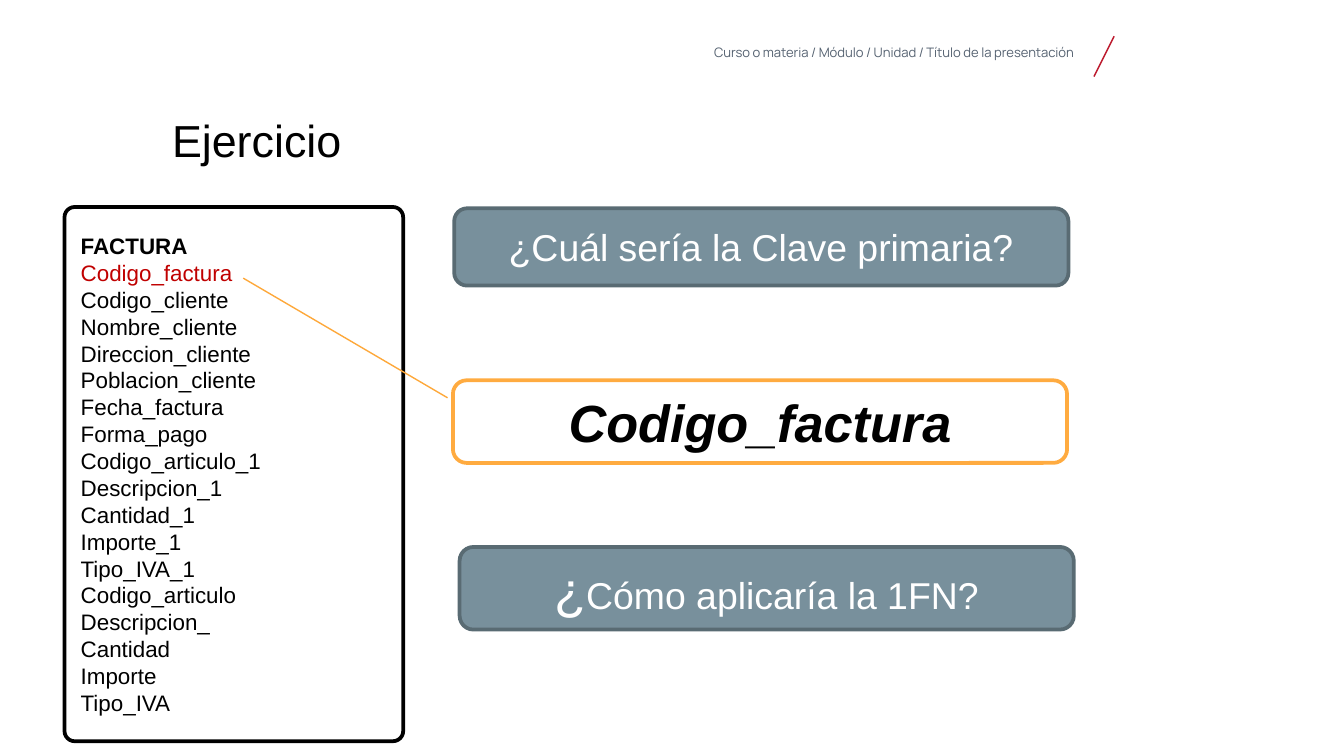
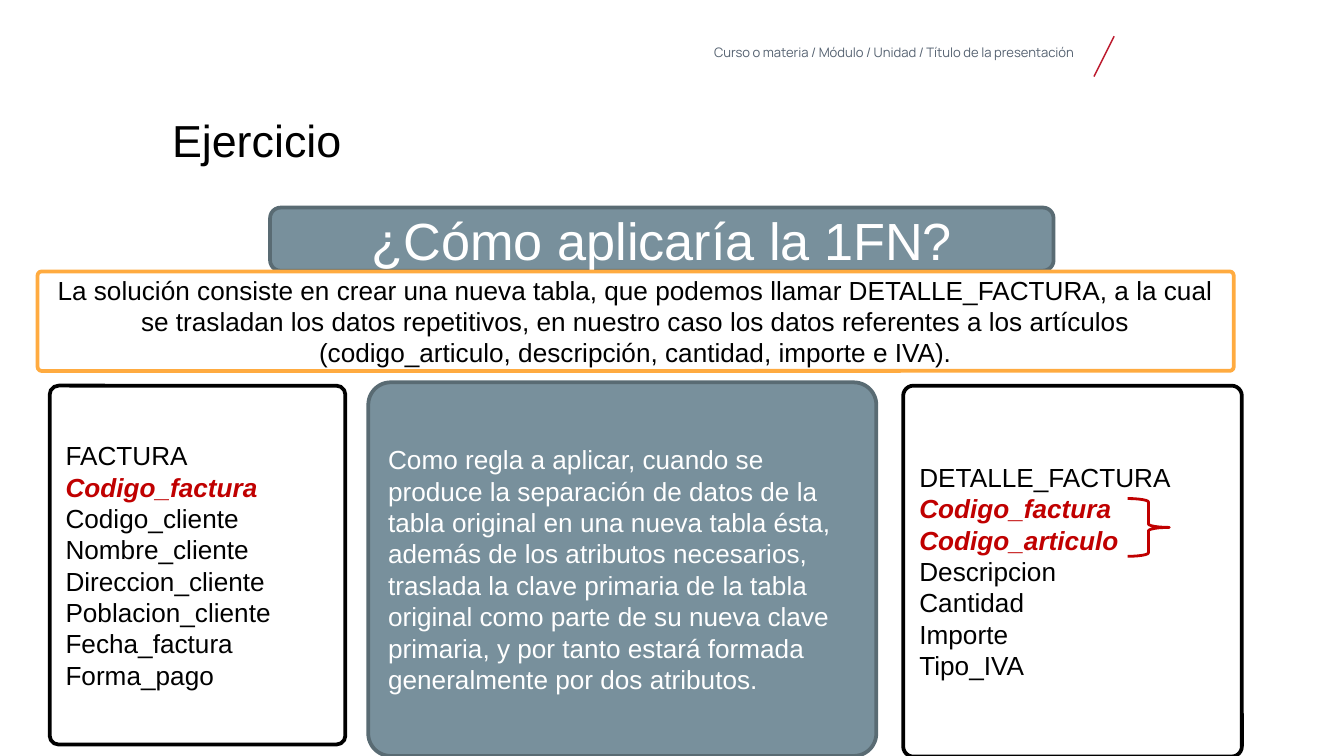
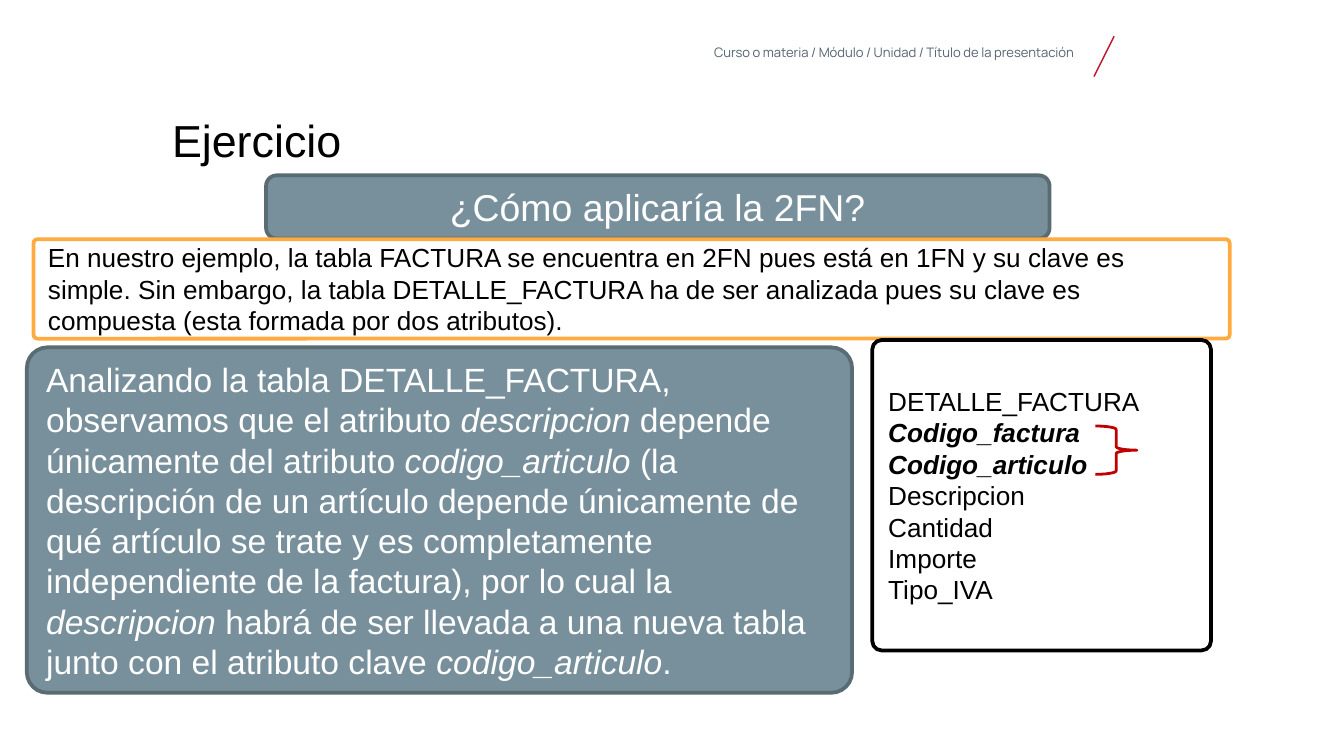
from dataclasses import dataclass

from lxml import etree
from pptx import Presentation
from pptx.dml.color import RGBColor
from pptx.enum.shapes import MSO_CONNECTOR, MSO_SHAPE
from pptx.enum.text import MSO_ANCHOR, PP_ALIGN
from pptx.oxml.ns import qn
from pptx.util import Inches, Pt

LEFT, MID, RIGHT = PP_ALIGN.LEFT, PP_ALIGN.CENTER, PP_ALIGN.RIGHT
TOP, CENTER = MSO_ANCHOR.TOP, MSO_ANCHOR.MIDDLE
ROUND, BRACE = MSO_SHAPE.ROUNDED_RECTANGLE, MSO_SHAPE.RIGHT_BRACE
STRAIGHT = MSO_CONNECTOR.STRAIGHT


@dataclass(frozen=True)
class Theme:
    font: str = "Arial"
    head_font: str = "Manrope"
    black: str = "000000"
    white: str = "FFFFFF"
    slate: str = "78909C"
    edge: str = "596B73"
    amber: str = "FFAB40"
    link: str = "FEA83A"
    key: str = "C00000"
    slash: str = "BC182C"
    gray: str = "556271"
    tiny: int = 7
    small: int = 12
    body: int = 14
    large: int = 18
    ask: int = 20
    title: int = 24
    huge: int = 28


T = Theme()
# Looks of a box: fill, line, text colour
DARK = (T.slate, T.edge, T.white)
NOTE = (T.white, T.amber, T.black)
TABLE = (T.white, T.black, T.black)

deck = Presentation()
deck.slide_width = Inches(10)
deck.slide_height = deck.slide_width * 9 // 16
UNIT = deck.slide_width // 100  # square grid, 100 columns wide


def write(shape, paras, size, color, align=LEFT, font=T.font, space=None):
    """Fill a shape with paragraphs; a run is (text, changes to its style)."""
    frame = shape.text_frame
    frame.word_wrap = True
    for n, runs in enumerate(paras):
        para = frame.paragraphs[0] if n == 0 else frame.add_paragraph()
        para.alignment = align
        if space:
            para.line_spacing = space
        for text, style in runs:
            run = para.add_run()
            run.text = text
            run.font.name = font
            run.font.size = Pt(style.get("size", size))
            run.font.bold = style.get("bold", False)
            run.font.italic = style.get("italic", False)
            run.font.color.rgb = RGBColor.from_string(style.get("color", color))


def box(slide, at, look, paras, size, align=LEFT, bend=None):
    """Add a rounded box; at is left, top, width, height on the grid."""
    fill, line, color = look
    shape = slide.shapes.add_shape(ROUND, *(int(v * UNIT) for v in at))
    shape.shadow.inherit = False
    shape.fill.solid()
    shape.fill.fore_color.rgb = RGBColor.from_string(fill)
    shape.line.color.rgb = RGBColor.from_string(line)
    shape.line.width = Pt(2)
    if bend:
        shape.adjustments[0] = bend
    shape.text_frame.vertical_anchor = CENTER
    write(shape, paras, size, color, align)


# Shared header and title
heads = [
    ((49.5, 3.45, 30.4, 1.4), "Curso o materia / Módulo / Unidad / Título de la presentación",
     T.tiny, T.gray, RIGHT, T.head_font),
    ((12.8, 8.85, 53.1, 8.3), "Ejercicio", T.title, T.black, LEFT, T.font),
]
slides = [deck.slides.add_slide(deck.slide_layouts[6]) for _ in range(3)]
for slide in slides:
    for at, text, size, color, align, font in heads:
        label = slide.shapes.add_textbox(*(int(v * UNIT) for v in at))
        frame = label.text_frame
        frame.margin_left = frame.margin_right = 0
        frame.margin_top = frame.margin_bottom = 0
        frame.vertical_anchor = TOP
        write(label, [[(text, {})]], size, color, align, font, 0.9)

first, second, third = slides
strong = {"bold": True, "italic": True}
red = {"color": T.key}
client = ["Codigo_cliente", "Nombre_cliente", "Direccion_cliente",
          "Poblacion_cliente", "Fecha_factura", "Forma_pago"]
item = ["Descripcion", "Cantidad", "Importe", "Tipo_IVA"]
keys = ["Codigo_factura", "Codigo_articulo"]

# Slide 1: the primary key
fields = client + ["Codigo_articulo_1", "Descripcion_1", "Cantidad_1", "Importe_1",
                   "Tipo_IVA_1", "Codigo_articulo", "Descripcion_"] + item[1:]
rows = [[("FACTURA", {"bold": True})], [(keys[0], red)]]
rows += [[(name, {})] for name in fields]
box(first, (4.8, 15.4, 25.2, 39.75), TABLE, rows, T.small, bend=0.03)
box(first, (33.8, 15.5, 45.7, 5.75), DARK,
    [[("¿Cuál sería la Clave primaria?", {})]], T.ask, MID)
box(first, (33.7, 28.3, 45.7, 6.15), NOTE, [[(keys[0], strong)]], T.huge, MID)
box(first, (34.2, 40.7, 45.7, 6.15), DARK,
    [[("¿", {"size": T.huge}), ("Cómo aplicaría la 1FN?", {})]], T.ask, MID)

# Slide 2: first normal form
rows = [[("FACTURA", {})], [(keys[0], strong | red)]]
rows += [[(name, {})] for name in client]
box(second, (3.7, 28.7, 22, 26.7), TABLE, rows, T.body, bend=0.03)
box(second, (20.1, 15.45, 58.3, 4.7), DARK,
    [[("¿Cómo aplicaría la 1FN?", {})]], T.huge, MID)
box(second, (2.8, 20.2, 89, 7.4), NOTE, [[(
    "La solución consiste en crear una nueva tabla, que podemos llamar "
    "DETALLE_FACTURA, a la cual se trasladan los datos repetitivos, en nuestro "
    "caso los datos referentes a los artículos (codigo_articulo, descripción, "
    "cantidad, importe e IVA).", {})]], T.body, MID, 0.04)
box(second, (27.4, 28.45, 37.8, 27.8), DARK, [[(
    "Como regla a aplicar, cuando se produce la separación de datos de la tabla "
    "original en una nueva tabla ésta, además de los atributos necesarios, "
    "traslada la clave primaria de la tabla original como parte de su nueva "
    "clave primaria, y por tanto estará formada generalmente por dos "
    "atributos.", {})]], T.body, bend=0.06)

# Slide 3: second normal form
box(third, (19.8, 13.05, 58.3, 4.7), DARK,
    [[("¿Cómo aplicaría la 2FN?", {})]], T.ask, MID)
box(third, (2.5, 17.8, 89, 7.4), NOTE, [[(
    "En nuestro ejemplo, la tabla FACTURA se encuentra en 2FN pues está en 1FN y "
    "su clave es simple. Sin embargo, la tabla DETALLE_FACTURA ha de ser "
    "analizada pues su clave es compuesta (esta formada por dos atributos).",
    {})]], T.body, bend=0.04)
slant = {"italic": True}
box(third, (2, 25.85, 61.4, 25.7), DARK, [[
    ("Analizando la tabla DETALLE_FACTURA, observamos que el atributo ", {}),
    ("descripcion ", slant),
    ("depende únicamente del atributo ", {}),
    ("codigo_articulo ", slant),
    ("(la descripción de un artículo depende únicamente de qué artículo se trate "
     "y es completamente independiente de la factura), por lo cual la ", {}),
    ("descripcion ", slant),
    ("habrá de ser llevada a una nueva tabla junto con el atributo clave ", {}),
    ("codigo_articulo", slant),
    (".", {}),
]], T.large, bend=0.06)

# Detail table with a brace beside its compound key
details = [
    (second, (67.2, 28.7, 25.2, 27.6), strong | red, (83.9, 37.1, 3.1, 4.3)),
    (third, (64.9, 25.3, 25.2, 23.1), strong, (81.5, 31.7, 3.1, 3.6)),
]
for slide, at, style, span in details:
    rows = [[("DETALLE_FACTURA", {})]]
    rows += [[(name, style)] for name in keys]
    rows += [[(name, {})] for name in item]
    box(slide, at, TABLE, rows, T.body, bend=0.03)
    brace = slide.shapes.add_shape(BRACE, *(int(v * UNIT) for v in span))
    brace.shadow.inherit = False
    brace.fill.background()
    brace.line.color.rgb = RGBColor.from_string(T.key)
    brace.line.width = Pt(1.5)

# Header slashes, and the link from the key field to its answer
lines = [(slide, (82.9, 2.7, 81.4, 5.7), T.slash) for slide in slides]
lines.append((first, (18.1, 20.7, 33.3, 29.6), T.link))
for slide, ends, color in lines:
    line = slide.shapes.add_connector(STRAIGHT, *(int(v * UNIT) for v in ends))
    line.line.color.rgb = RGBColor.from_string(color)
    line.line.width = Pt(0.75)
    etree.SubElement(line._element.spPr, qn("a:effectLst"))

deck.save("out.pptx")
